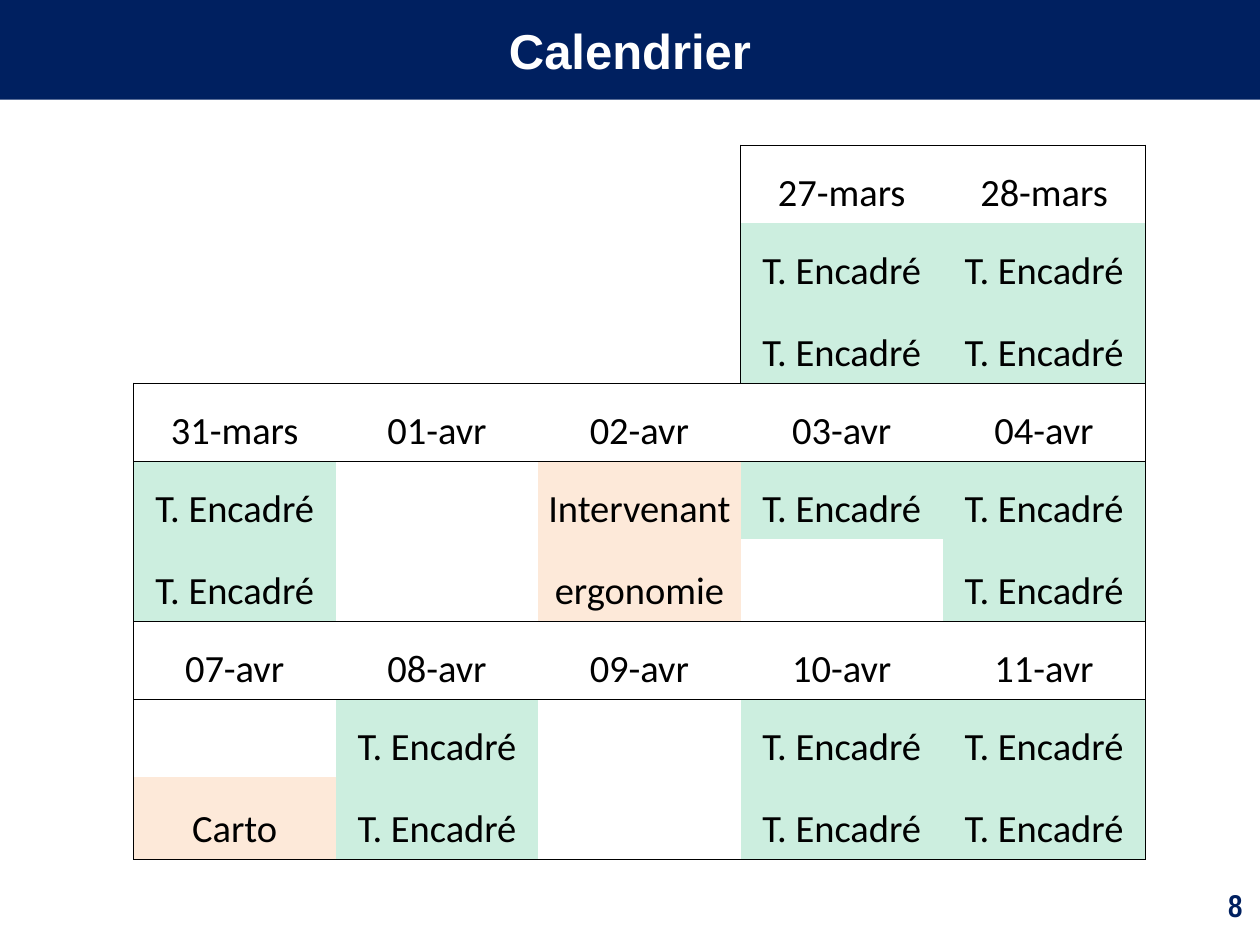
from lxml.etree import SubElement
from pptx import Presentation
from pptx.dml.color import RGBColor
from pptx.enum.shapes import MSO_SHAPE
from pptx.enum.text import MSO_ANCHOR as ANCHOR, PP_ALIGN as ALIGN
from pptx.oxml.ns import qn
from pptx.util import Inches, Pt

NAVY, WHITE, BLACK = "002060", "FFFFFF", "000000"
GREEN, ORANGE = "CCEEDF", "FDE9D9"
OUTLINE, THIN = 0.45, 0.23

TE = "T. Encadré"
CALENDAR = [
    ["", "", "", "27-mars", "28-mars"],
    ["", "", "", TE, TE],
    ["", "", "", TE, TE],
    ["31-mars", "01-avr", "02-avr", "03-avr", "04-avr"],
    [TE, "", "Intervenant", TE, TE],
    [TE, "", "ergonomie", "", TE],
    ["07-avr", "08-avr", "09-avr", "10-avr", "11-avr"],
    ["", TE, "", TE, TE],
    ["Carto", TE, "", TE, TE],
]
FILLS = {TE: GREEN, "Intervenant": ORANGE, "ergonomie": ORANGE, "Carto": ORANGE}
N_ROWS, N_COLS = len(CALENDAR), len(CALENDAR[0])
DAYS_PER_WEEK_ROWS = 3
FIRST_COLS = [3, 0, 0]  # column of the first day of each week


def rgb(hex_color):
    return RGBColor.from_string(hex_color)


def write(tf, text, size=22, font="Calibri", color=BLACK, bold=False,
          align=ALIGN.CENTER, spacing=None):
    p = tf.paragraphs[0]
    p.alignment = align
    p.line_spacing = spacing
    r = p.add_run()
    r.text = text
    r.font.size = Pt(size)
    r.font.name = font
    r.font.bold = bold
    r.font.color.rgb = rgb(color)


def add_title(slide, text):
    title = slide.shapes.title
    title.left, title.top = Inches(0), Inches(0.21)
    title.width, title.height = Inches(10), Inches(0.44)
    tf = title.text_frame
    tf.margin_top = tf.margin_bottom = 0
    tf.vertical_anchor = ANCHOR.MIDDLE
    write(tf, text, size=28, font="Arial", color=WHITE, bold=True, spacing=0.86)


def add_title_band(slide):
    band = slide.shapes.add_shape(MSO_SHAPE.RECTANGLE, 0, 0, Inches(10), Inches(0.79))
    band.shadow.inherit = False
    band.fill.solid()
    band.fill.fore_color.rgb = rgb(NAVY)
    band.line.fill.background()
    slide.shapes.title.element.addprevious(band.element)


def add_page_number(slide, number):
    box = slide.shapes.add_textbox(Inches(7.63), Inches(6.98), Inches(2.33), Inches(0.52))
    box.text_frame.word_wrap = True
    write(box.text_frame, number, size=18, font="Arial Narrow", color=NAVY,
          bold=True, align=ALIGN.RIGHT)


def horizontal_edge(edge, col):
    """Line width above row number `edge`, or 0 for no line."""
    week, part = divmod(edge, DAYS_PER_WEEK_ROWS)
    if part == 0:
        return OUTLINE if week or col >= FIRST_COLS[0] else 0
    return THIN if part == 1 and week else 0


def vertical_edge(row, edge):
    """Line width left of column number `edge`, or 0 for no line."""
    first = FIRST_COLS[row // DAYS_PER_WEEK_ROWS]
    return OUTLINE if edge in (first, N_COLS) else 0


def set_borders(cell, widths):
    tc_pr = cell._tc.get_or_add_tcPr()
    for side, width in zip("LRTB", widths):
        ln = SubElement(tc_pr, qn(f"a:ln{side}"), w=str(Pt(width)))
        if width:
            fill = SubElement(ln, qn("a:solidFill"))
            SubElement(fill, qn("a:srgbClr"), val=BLACK)
        else:
            SubElement(ln, qn("a:noFill"))


def format_cell(cell, row, col):
    text = CALENDAR[row][col]
    set_borders(cell, (vertical_edge(row, col), vertical_edge(row, col + 1),
                       horizontal_edge(row, col), horizontal_edge(row + 1, col)))
    if text in FILLS:
        cell.fill.solid()
        cell.fill.fore_color.rgb = rgb(FILLS[text])
    else:
        cell.fill.background()
    cell.margin_left = cell.margin_right = Inches(0.01)
    cell.vertical_anchor = ANCHOR.BOTTOM
    if text:
        write(cell.text_frame, text)


def add_calendar(slide):
    frame = slide.shapes.add_table(N_ROWS, N_COLS, Inches(1.06), Inches(1.15),
                                   Inches(8.03), Inches(5.67))
    table = frame.table
    table.first_row = table.horz_banding = False
    for column in table.columns:
        column.width = Inches(8.03 / N_COLS)
    for row, line in enumerate(table.rows):
        last_of_week = row % DAYS_PER_WEEK_ROWS == DAYS_PER_WEEK_ROWS - 1
        line.height = Inches(0.65 if last_of_week else 0.62)
        for col, cell in enumerate(line.cells):
            format_cell(cell, row, col)


def main():
    prs = Presentation()
    prs.slide_width, prs.slide_height = Inches(10), Inches(7.5)
    slide = prs.slides.add_slide(prs.slide_layouts[5])
    add_title_band(slide)
    add_page_number(slide, "8")
    add_title(slide, "Calendrier")
    add_calendar(slide)
    prs.save("out.pptx")


if __name__ == "__main__":
    main()
